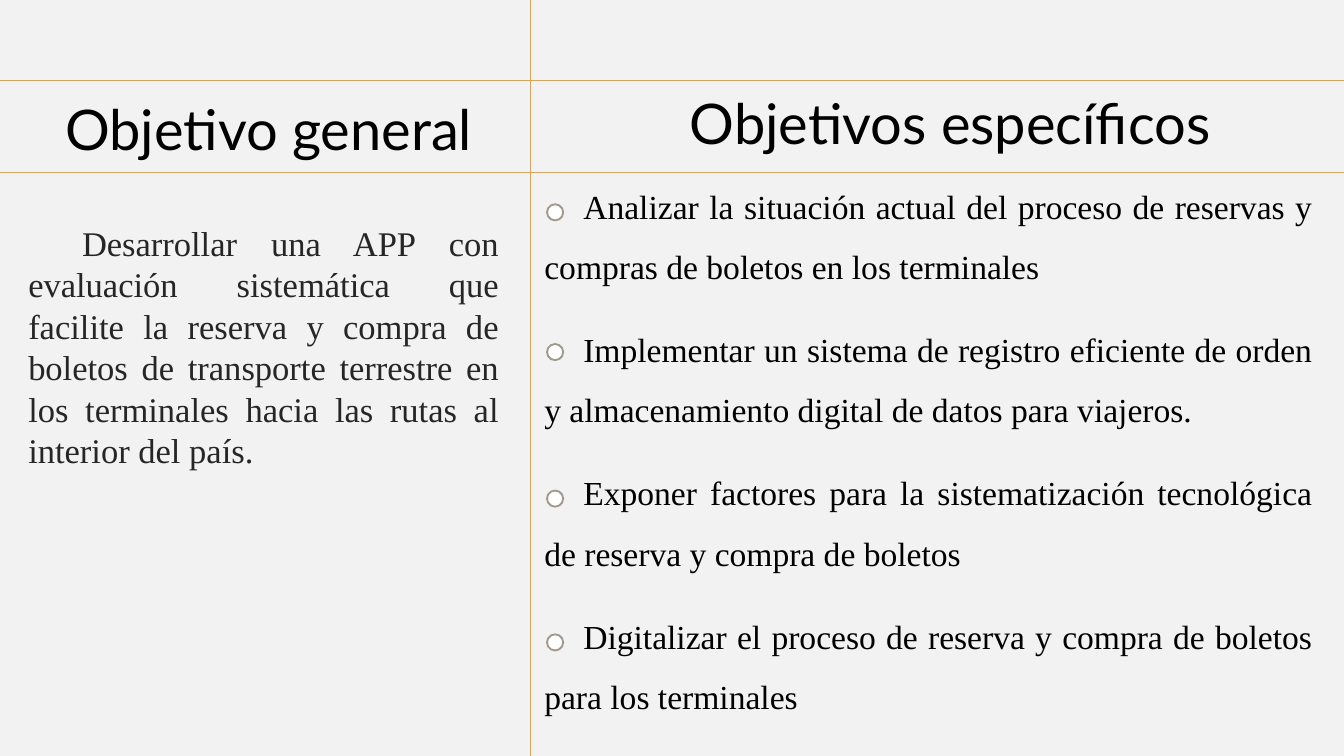
from dataclasses import dataclass

from lxml import etree
from pptx import Presentation
from pptx.dml.color import RGBColor
from pptx.enum import shapes, text
from pptx.oxml.ns import qn
from pptx.util import Inches, Pt


@dataclass(frozen=True)
class Theme:
    background: str = "F2F2F2"
    rule: str = "F6A21D"
    ring: str = "A0988C"
    ring_fill: str = "FFFFFF"
    heading: str = "000000"
    general: str = "262626"
    heading_font: str = "Lato"
    body_font: str = "Times New Roman"
    heading_size: float = 30
    general_size: float = 18.5
    specific_size: float = 18


THEME = Theme()

GENERAL_HEADING = "Objetivo general"
GENERAL = [
    "Desarrollar una APP con evaluación sistemática que facilite la reserva y compra de "
    "boletos de transporte terrestre en los terminales hacia las rutas al interior del país.",
]
SPECIFIC_HEADING = "Objetivos específicos"
SPECIFIC = [
    "Analizar la situación actual del proceso de reservas y compras de boletos en los terminales",
    "Implementar un sistema de registro eficiente de orden y almacenamiento digital de datos para viajeros.",
    "Exponer factores para la sistematización tecnológica de reserva y compra de boletos",
    "Digitalizar el proceso de reserva y compra de boletos para los terminales",
]

WIDTH = 10
HEIGHT = WIDTH * 9 / 16
DIVIDER_X = 3.95
RULES = [
    (DIVIDER_X, 0, DIVIDER_X, HEIGHT),
    (-0.48, 0.6, 10.14, 0.6),
    (-0.33, 1.28, WIDTH, 1.28),
]
HEADING_WIDTH, HEADING_HEIGHT = 8.44, 0.63
RING_LEFT, RING_SIZE = 4.07, 0.12
RING_TOPS = [1.52, 2.56, 3.65, 4.72]


def place(shape, left, top, width, height):
    shape.left, shape.top = Inches(left), Inches(top)
    shape.width, shape.height = Inches(width), Inches(height)


def write(shape, lines, font, size, color, alignment, margin=0, indent=0, spacing=1, gap=0):
    frame = shape.text_frame
    frame.word_wrap = True
    frame.auto_size = text.MSO_AUTO_SIZE.NONE
    frame.vertical_anchor = text.MSO_ANCHOR.TOP
    frame.margin_left = frame.margin_right = Inches(0.1)
    frame.margin_top = frame.margin_bottom = Inches(0.1)
    frame.text = "\n".join(lines)
    for paragraph in frame.paragraphs:
        paragraph.alignment = alignment
        paragraph.line_spacing = spacing
        paragraph.space_before = paragraph.space_after = Pt(gap)
        paragraph.font.name = font
        paragraph.font.size = Pt(size)
        paragraph.font.color.rgb = RGBColor.from_string(color)
        properties = paragraph._p.get_or_add_pPr()
        properties.set("marL", str(Inches(margin)))
        properties.set("indent", str(Inches(indent)))
        properties.find(qn("a:defRPr")).addprevious(etree.Element(qn("a:buNone")))


def write_heading(shape, heading, left, top):
    place(shape, left, top, HEADING_WIDTH, HEADING_HEIGHT)
    write(shape, [heading], THEME.heading_font, THEME.heading_size, THEME.heading,
          text.PP_ALIGN.CENTER)


def add_rule(slide, ends):
    rule = slide.shapes.add_connector(
        shapes.MSO_CONNECTOR.STRAIGHT, *[Inches(value) for value in ends])
    rule.line.color.rgb = RGBColor.from_string(THEME.rule)
    rule.line.width = Pt(0.5)
    etree.SubElement(rule._element.spPr, qn("a:effectLst"))


def add_ring(slide, top):
    ring = slide.shapes.add_shape(
        shapes.MSO_SHAPE.OVAL, Inches(RING_LEFT), Inches(top), Inches(RING_SIZE), Inches(RING_SIZE))
    ring.shadow.inherit = False
    ring.fill.solid()
    ring.fill.fore_color.rgb = RGBColor.from_string(THEME.ring_fill)
    ring.line.color.rgb = RGBColor.from_string(THEME.ring)
    ring.line.width = Pt(1)


def main():
    presentation = Presentation()
    presentation.slide_width, presentation.slide_height = Inches(WIDTH), Inches(HEIGHT)
    slide = presentation.slides.add_slide(presentation.slide_layouts.get_by_name("Two Content"))
    slide.background.fill.solid()
    slide.background.fill.fore_color.rgb = RGBColor.from_string(THEME.background)

    title, general, specific = slide.placeholders
    write_heading(title, GENERAL_HEADING, -2.22, 0.6)
    specific_heading = slide.shapes.add_textbox(0, 0, 0, 0)
    write_heading(specific_heading, SPECIFIC_HEADING, 2.85, 0.56)

    place(general, -0.08, 1.55, 3.89, 3.88)
    write(general, GENERAL, THEME.body_font, THEME.general_size, THEME.general,
          text.PP_ALIGN.JUSTIFY, margin=0.19, indent=0.4)
    place(specific, DIVIDER_X, 1.13, 5.92, 4.42)
    write(specific, SPECIFIC, THEME.body_font, THEME.specific_size, THEME.heading,
          text.PP_ALIGN.JUSTIFY, indent=0.29, spacing=1.5, gap=6)

    for ends in RULES:
        add_rule(slide, ends)
    for top in RING_TOPS:
        add_ring(slide, top)

    presentation.save("out.pptx")


if __name__ == "__main__":
    main()
